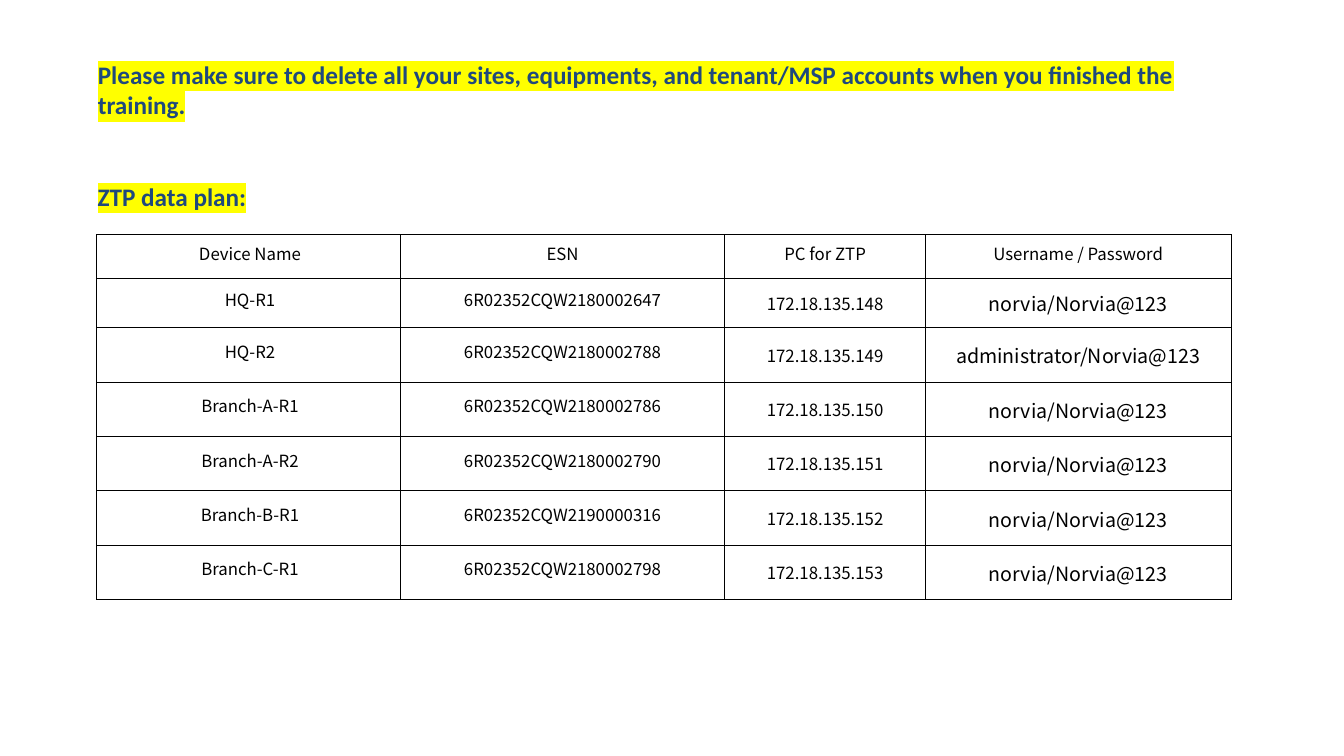
from lxml.etree import SubElement
from pptx import Presentation
from pptx.dml.color import RGBColor as Rgb
from pptx.enum.text import MSO_ANCHOR as Anchor, MSO_AUTO_SIZE as AutoSize, PP_ALIGN as Align
from pptx.oxml.ns import qn
from pptx.util import Inches, Pt

COLORS = {"heading": "1F497D", "highlight": "FFFF00", "ink": "000000", "paper": "FFFFFF"}
HEADING_FONT = "Calibri"
TABLE_FONT = "Noto Sans CJK SC"

NOTICE = ("Please make sure to delete all your sites, equipments, and tenant/MSP accounts "
          "when you finished the training.")
HEADERS = ["Device Name", "ESN", "PC for ZTP", "Username / Password"]
LOGIN = "norvia/Norvia@123"
DEVICES = [
    ["HQ-R1", "6R02352CQW2180002647", "172.18.135.148", LOGIN],
    ["HQ-R2", "6R02352CQW2180002788", "172.18.135.149", "administrator/Norvia@123"],
    ["Branch-A-R1", "6R02352CQW2180002786", "172.18.135.150", LOGIN],
    ["Branch-A-R2", "6R02352CQW2180002790", "172.18.135.151", LOGIN],
    ["Branch-B-R1", "6R02352CQW2190000316", "172.18.135.152", LOGIN],
    ["Branch-C-R1", "6R02352CQW2180002798", "172.18.135.153", LOGIN],
]
COLUMN_WIDTHS = [3.01, 3.22, 1.99, 3.03]
ROW_HEIGHTS = [0.43, 0.49] + [0.54] * 5


def add_color(parent, color):
    """Append an RGB colour element to an XML parent."""
    SubElement(parent, qn("a:srgbClr")).set("val", COLORS[color])


def add_span(para, text, size, font, color):
    """Add one formatted run and return it."""
    span = para.add_run()
    span.text = text
    span.font.size = Pt(size)
    span.font.name = font
    span.font.color.rgb = Rgb.from_string(COLORS[color])
    return span


def write_heading(box, text, left, top, width, height, wrap):
    """Place a box and write a highlighted bold heading in it."""
    box.left, box.top = Inches(left), Inches(top)
    box.width, box.height = Inches(width), Inches(height)
    frame = box.text_frame
    frame.word_wrap = wrap
    frame.auto_size = AutoSize.SHAPE_TO_FIT_TEXT
    frame.vertical_anchor = Anchor.TOP
    para = frame.paragraphs[0]
    para.alignment = Align.LEFT
    span = add_span(para, text, 18, HEADING_FONT, "heading")
    span.font.bold = True
    highlight = SubElement(span.font.fill._xPr, qn("a:highlight"))
    add_color(highlight, "highlight")
    span.font.fill._xPr.find(qn("a:solidFill")).addnext(highlight)


def draw_borders(cell):
    """Give a cell a thin line on all four sides."""
    props = cell._tc.get_or_add_tcPr()
    for side in ("lnL", "lnR", "lnT", "lnB"):
        line = SubElement(props, qn(f"a:{side}"), w=str(Pt(0.75)))
        add_color(SubElement(line, qn("a:solidFill")), "ink")


def write_cell(cell, text, row, column):
    """Write and format one cell by its place in the table."""
    draw_borders(cell)
    cell.fill.background()
    cell.vertical_anchor = Anchor.MIDDLE
    spaced = row == 0 or column < 2
    side = 0.07 if spaced else 0.01 if column == 3 else 0
    cell.margin_left = cell.margin_right = Inches(side)
    cell.margin_top = Inches(0 if spaced else side)
    cell.margin_bottom = Inches(0)
    para = cell.text_frame.paragraphs[0]
    para.alignment = Align.CENTER
    if spaced:
        para.line_spacing = Pt(12)
        para.space_before = para.space_after = Pt(4)
    if column == 0:
        para._p.get_or_add_pPr().set("indent", str(Inches(0.03)))
    add_span(para, text, 12 if spaced or column == 2 else 14, TABLE_FONT, "ink")


def add_device_table(page, left, top):
    """Add the bordered table of devices."""
    rows = [HEADERS] + DEVICES
    frame = page.shapes.add_table(len(rows), len(HEADERS), Inches(left), Inches(top),
                                  Inches(sum(COLUMN_WIDTHS)), Inches(sum(ROW_HEIGHTS)))
    table = frame.table
    table.first_row = table.horz_banding = False
    for column, width in zip(table.columns, COLUMN_WIDTHS):
        column.width = Inches(width)
    for row, height in zip(table.rows, ROW_HEIGHTS):
        row.height = Inches(height)
    for r, texts in enumerate(rows):
        for c, text in enumerate(texts):
            write_cell(table.cell(r, c), text, r, c)


def add_plan_page(deck, left, top, width):
    """Add the page with the notice, the heading and the device table."""
    page = deck.slides.add_slide(deck.slide_layouts[5])
    page.background.fill.solid()
    page.background.fill.fore_color.rgb = Rgb.from_string(COLORS["paper"])
    add_device_table(page, left + 0.09, top + 1.79)
    heading = page.shapes.add_textbox(0, 0, 0, 0)
    write_heading(heading, "ZTP data plan:", left, top + 1.21, 1.69, 0.4, False)
    write_heading(page.shapes.title, NOTICE, left, top, width, 0.71, True)


def main():
    """Build and save the deck."""
    deck = Presentation()
    deck.slide_width, deck.slide_height = Inches(13.33), Inches(7.5)
    add_plan_page(deck, 0.87, 0.54, 11.34)
    deck.save("out.pptx")


if __name__ == "__main__":
    main()
